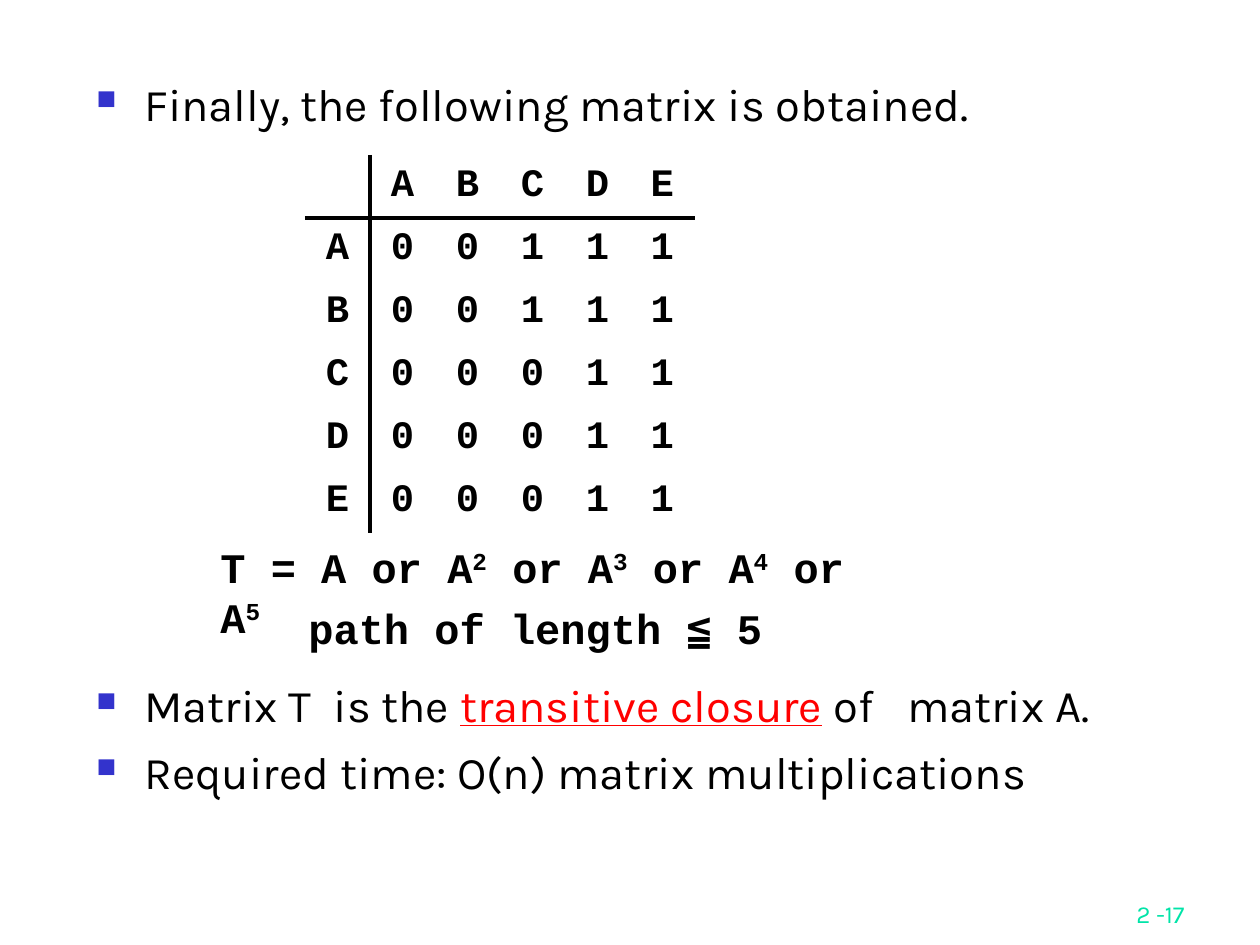
from lxml.etree import SubElement
from pptx import Presentation
from pptx.dml.color import RGBColor
from pptx.enum.shapes import MSO_CONNECTOR
from pptx.enum.text import MSO_ANCHOR as ANCHOR, PP_ALIGN as ALIGN
from pptx.oxml.ns import qn
from pptx.util import Emu, Pt

PX = 914400 / 126  # EMU per pixel
COLORS = {"text": "000000", "bullet": "3333CC", "term": "FF0000", "page": "00E4A8"}
BODY, MONO = "Karla", "Courier New"

CELL_W, CELL_H = 65, 63
MATRIX_LEFT, MATRIX_TOP = 305, 155
MATRIX = [" ABCDE", "A00111", "B00111", "C00011", "D00011", "E00011"]


def px(n):
    return Emu(round(n * PX))


def style(font, name, size, color="text", bold=False):
    font.name, font.size, font.bold = name, Pt(size), bold
    font.color.rgb = RGBColor.from_string(COLORS[color])


def add_box(slide, x, y, w, h, wrap=True):
    tf = slide.shapes.add_textbox(px(x), px(y), px(w), px(h)).text_frame
    tf.word_wrap = wrap
    return tf


def add_run(p, text, name, size, color="text", bold=False):
    r = p.add_run()
    r.text = text
    style(r.font, name, size, color, bold)
    return r


def set_bullet(p):
    """Give the paragraph a hanging square bullet."""
    pPr = p._p.get_or_add_pPr()
    pPr.set("marL", str(px(48)))
    pPr.set("indent", str(px(-48)))
    clr = SubElement(pPr, qn("a:buClr"))
    SubElement(clr, qn("a:srgbClr"), val=COLORS["bullet"])
    SubElement(pPr, qn("a:buSzPct"), val="60000")
    SubElement(pPr, qn("a:buChar"), char="■")


def add_bullets(slide):
    tf = add_box(slide, 84, 70, 1081, 810)
    # Each run is text, colour, underline and extra letter spacing in points.
    bullets = [
        (None, [("Finally, the following matrix is obtained.", "text", False, 0)]),
        (312.5, [("Matrix T", "text", False, 0),
                 (" ", "text", False, 6.5),
                 ("is the ", "text", False, 0),
                 ("transitive closure", "term", True, 0),
                 (" of", "text", False, 0),
                 (" ", "text", False, 13),
                 ("matrix A.", "text", False, 0)]),
        (7, [("Required time: O(n) matrix multiplications", "text", False, 0)]),
    ]
    for i, (before, runs) in enumerate(bullets):
        p = tf.add_paragraph() if i else tf.paragraphs[0]
        set_bullet(p)
        if before:
            p.space_before = Pt(before)
        for text, color, underline, spacing in runs:
            r = add_run(p, text, BODY, 25.9, color)
            if underline:
                r.font.underline = True
            if spacing:
                r.font._element.set("spc", str(round(spacing * 100)))


def add_matrix(slide):
    n = len(MATRIX)
    table = slide.shapes.add_table(n, n, px(MATRIX_LEFT), px(MATRIX_TOP),
                                   px(n * CELL_W), px(n * CELL_H)).table
    table.first_row = table.horz_banding = False
    for i, row in enumerate(MATRIX):
        table.columns[i].width = px(CELL_W)
        table.rows[i].height = px(CELL_H)
        for j, value in enumerate(row):
            cell = table.cell(i, j)
            cell.fill.background()
            cell.vertical_anchor = ANCHOR.MIDDLE
            p = cell.text_frame.paragraphs[0]
            p.alignment = ALIGN.CENTER
            if value.strip():
                add_run(p, value, MONO, 22.2, bold=True)


def add_rule(slide, x1, y1, x2, y2):
    s = slide.shapes.add_connector(MSO_CONNECTOR.STRAIGHT,
                                   px(x1), px(y1), px(x2), px(y2))
    s.line.width = Pt(2.25)
    s.line.color.rgb = RGBColor.from_string(COLORS["text"])
    SubElement(s._element.spPr, qn("a:effectLst"))


def add_formula(slide):
    p = add_box(slide, 208, 535, 713, 63, wrap=False).paragraphs[0]
    add_run(p, "T = A", MONO, 24, bold=True)
    for power in range(2, 6):
        add_run(p, " or A", MONO, 24, bold=True)
        r = add_run(p, str(power), MONO, 24, bold=True)
        r.font._element.set("baseline", "30000")
    p = add_box(slide, 296, 596, 479, 63, wrap=False).paragraphs[0]
    add_run(p, "path of length ≦ 5", MONO, 24, bold=True)


def add_page_number(slide):
    tf = add_box(slide, 935, 872, 262, 63)
    tf.vertical_anchor = ANCHOR.BOTTOM
    p = tf.paragraphs[0]
    p.alignment = ALIGN.RIGHT
    add_run(p, "2 -17", BODY, 14, "page")


def main():
    prs = Presentation()
    prs.slide_width, prs.slide_height = px(1260), px(945)
    slide = prs.slides.add_slide(prs.slide_layouts[6])
    add_page_number(slide)
    add_bullets(slide)
    add_matrix(slide)
    size = len(MATRIX)
    head_x, head_y = MATRIX_LEFT + CELL_W, MATRIX_TOP + CELL_H
    add_rule(slide, MATRIX_LEFT, head_y, MATRIX_LEFT + size * CELL_W, head_y)
    add_rule(slide, head_x, MATRIX_TOP, head_x, MATRIX_TOP + size * CELL_H)
    add_formula(slide)
    prs.save("out.pptx")


if __name__ == "__main__":
    main()
